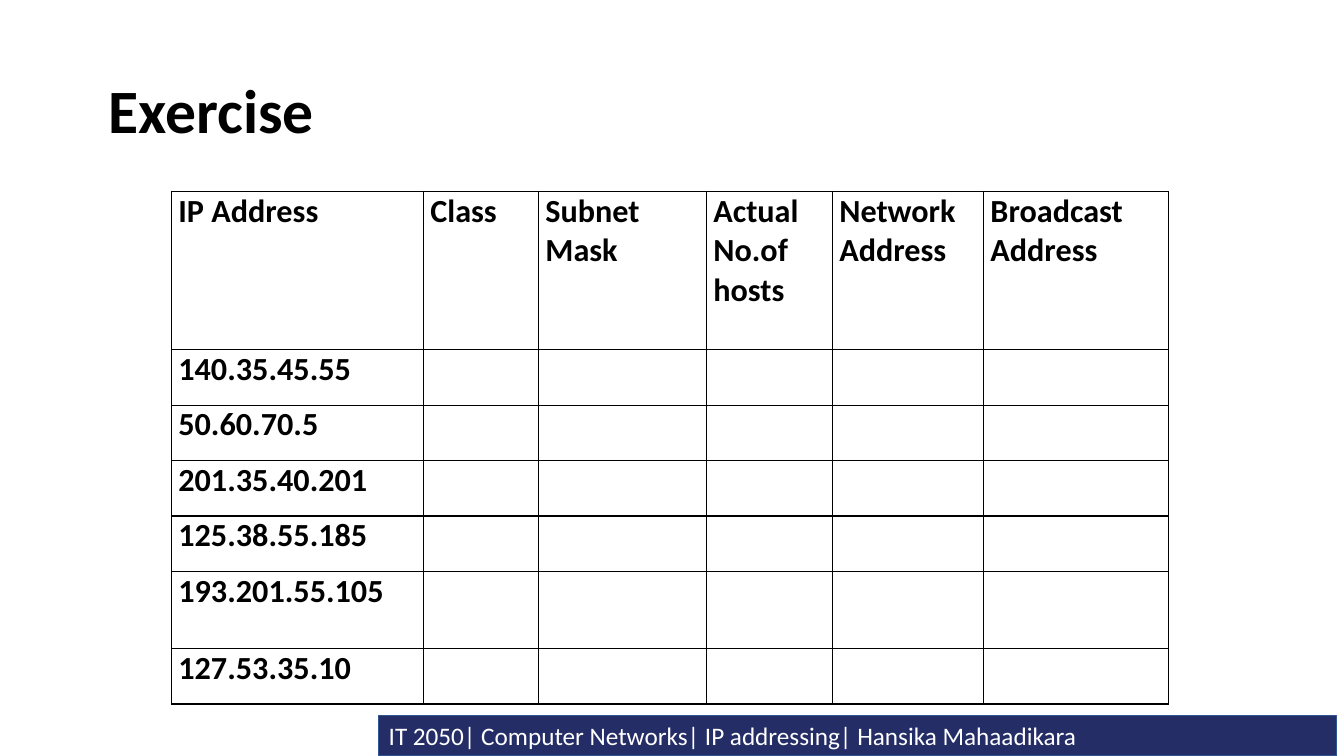
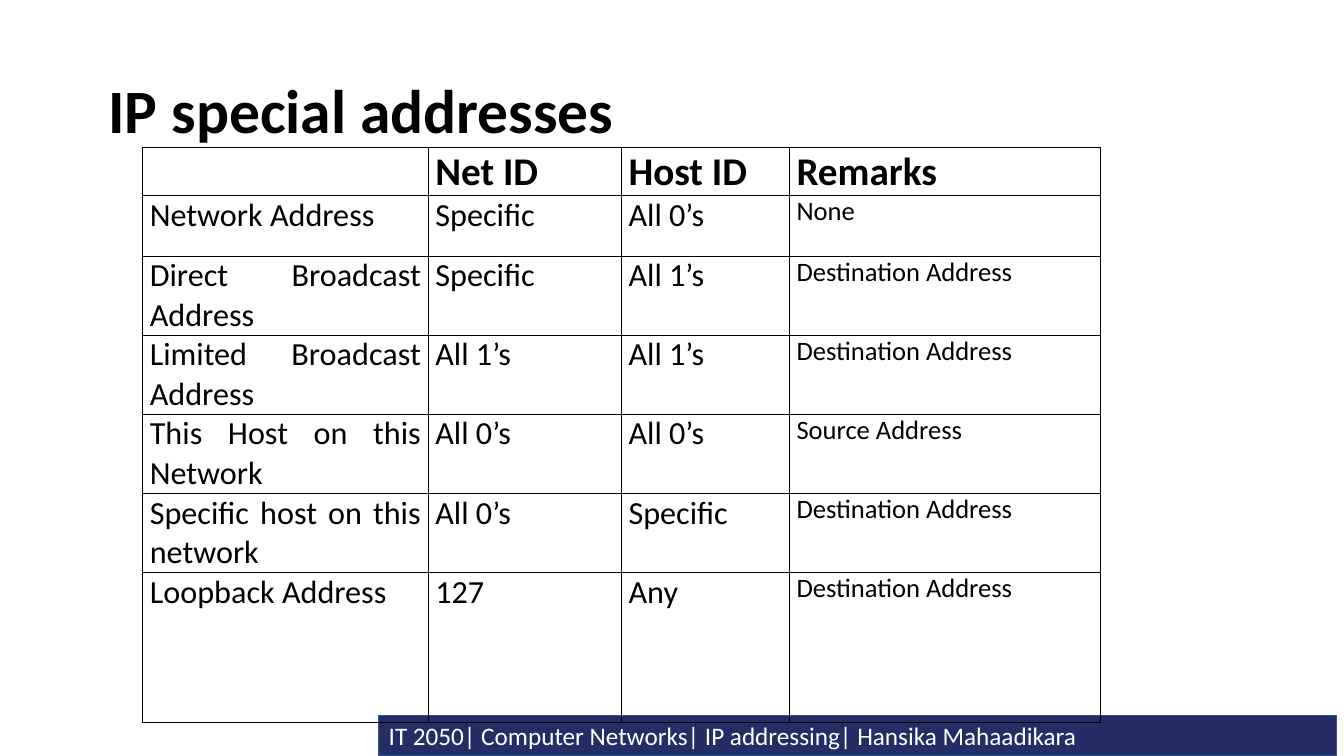
from dataclasses import dataclass

from lxml import etree
from pptx import Presentation
from pptx.dml.color import RGBColor
from pptx.enum.shapes import MSO_SHAPE
from pptx.enum.text import MSO_ANCHOR, MSO_AUTO_SIZE, PP_ALIGN
from pptx.oxml.ns import qn
from pptx.util import Inches, Pt

RECTANGLE = MSO_SHAPE.RECTANGLE
MIDDLE = MSO_ANCHOR.MIDDLE
LEFT, JUSTIFY = PP_ALIGN.LEFT, PP_ALIGN.JUSTIFY


@dataclass(frozen=True)
class Theme:
    font: str = "Calibri"
    ink: str = "000000"
    paper: str = "FFFFFF"
    band: str = "252D67"
    band_line: str = "325491"
    title_size: int = 44
    header_size: int = 28
    body_size: int = 23
    remark_size: int = 19
    footer_size: int = 18


THEME = Theme()

# The slide is a grid of 160 columns by 90 rows of square units.
COLUMNS, ROWS = 160, 90
UNIT = Inches(13.3333) / COLUMNS
TITLE_BOX = (11, 4.8, 138, 17.4)
FOOTER_BOX = (45.1, 85.2, 114, 4.8)
FOOTER = "IT 2050| Computer Networks| IP addressing| Hansika Mahaadikara"

ADDRESSES = ["140.35.45.55", "50.60.70.5", "201.35.40.201",
             "125.38.55.185", "193.201.55.105", "127.53.35.10"]

# Text styles are (size, bold), one for each table column.
PAGES = [
    {
        "title": "Exercise",
        "origin": (20.4, 22.8),
        "widths": [30, 13.7, 20, 15, 18, 22],
        "heights": [18.84] + [6.6] * 4 + [9.2, 6.6],
        "header_style": (THEME.body_size, True),
        "column_styles": [(THEME.body_size, True)] * 6,
        "rows": [["IP Address", "Class", "Subnet Mask", "Actual No.of hosts",
                  "Network\nAddress", "Broadcast Address"]]
                + [[address] + [""] * 5 for address in ADDRESSES],
    },
    {
        "title": "IP special addresses",
        "origin": (17, 17.6),
        "widths": [34, 23, 20, 37],
        "heights": [5.28, 7.2] + [8.64] * 4 + [17.9],
        "header_style": (THEME.header_size, True),
        "column_styles": [(THEME.body_size, False)] * 3
                         + [(THEME.remark_size, False)],
        "rows": [
            ["", "Net ID", "Host ID", "Remarks"],
            ["Network Address", "Specific", "All 0’s", "None"],
            ["Direct Broadcast Address", "Specific", "All 1’s", "Destination Address"],
            ["Limited Broadcast Address", "All 1’s", "All 1’s", "Destination Address"],
            ["This Host on this Network", "All 0’s", "All 0’s", "Source Address"],
            ["Specific host on this network", "All 0’s", "Specific", "Destination Address"],
            ["Loopback Address", "127", "Any", "Destination Address"],
        ],
    },
]


def style_text(frame, size, color, align, bold=False):
    for para in frame.paragraphs:
        para.alignment = align
        para.font.name = THEME.font
        para.font.size = Pt(size)
        para.font.bold = bold
        para.font.color.rgb = RGBColor.from_string(color)


def outline_cell(cell):
    properties = cell._tc.get_or_add_tcPr()
    for side in ("a:lnL", "a:lnR", "a:lnT", "a:lnB"):
        line = etree.SubElement(properties, qn(side), w=str(Pt(1)))
        fill = etree.SubElement(line, qn("a:solidFill"))
        etree.SubElement(fill, qn("a:srgbClr"), val=THEME.ink)
    cell.fill.background()


deck = Presentation()
deck.slide_width, deck.slide_height = round(COLUMNS * UNIT), round(ROWS * UNIT)
layout = deck.slide_layouts.get_by_name("Title Only")
pages = [deck.slides.add_slide(layout) for _ in PAGES]

# The footer band is made on a page, then moved to the layout that all pages share.
band = pages[0].shapes.add_shape(RECTANGLE, *(round(n * UNIT) for n in FOOTER_BOX))
band.shadow.inherit = False
band.fill.solid()
band.fill.fore_color.rgb = RGBColor.from_string(THEME.band)
band.line.color.rgb = RGBColor.from_string(THEME.band_line)
band.line.width = Pt(1)
band.text_frame.text = FOOTER
band.text_frame.word_wrap = True
band.text_frame.vertical_anchor = MIDDLE
style_text(band.text_frame, THEME.footer_size, THEME.paper, LEFT)
layout.shapes._spTree.append(band._element)

for page, content in zip(pages, PAGES):
    title = page.shapes.title
    title.left, title.top, title.width, title.height = (round(n * UNIT) for n in TITLE_BOX)
    frame = title.text_frame
    frame.text = content["title"]
    frame.auto_size = MSO_AUTO_SIZE.NONE
    frame.vertical_anchor = MIDDLE
    frame.margin_left = Inches(0.16)
    frame.paragraphs[0].line_spacing = 0.9
    style_text(frame, THEME.title_size, THEME.ink, LEFT, bold=True)

    widths, heights = content["widths"], content["heights"]
    box = (*content["origin"], sum(widths), sum(heights))
    table = page.shapes.add_table(len(heights), len(widths),
                                  *(round(n * UNIT) for n in box)).table
    table.first_row = table.horz_banding = False
    for column, width in zip(table.columns, widths):
        column.width = round(width * UNIT)
    for row, height in zip(table.rows, heights):
        row.height = round(height * UNIT)

    for row_index, texts in enumerate(content["rows"]):
        for column_index, text in enumerate(texts):
            cell = table.cell(row_index, column_index)
            cell.text = text
            cell.margin_left = cell.margin_right = Inches(0.07)
            cell.margin_top = cell.margin_bottom = 0
            size, bold = (content["column_styles"][column_index] if row_index
                          else content["header_style"])
            style_text(cell.text_frame, size, THEME.ink, JUSTIFY, bold)
            outline_cell(cell)

deck.save("out.pptx")
